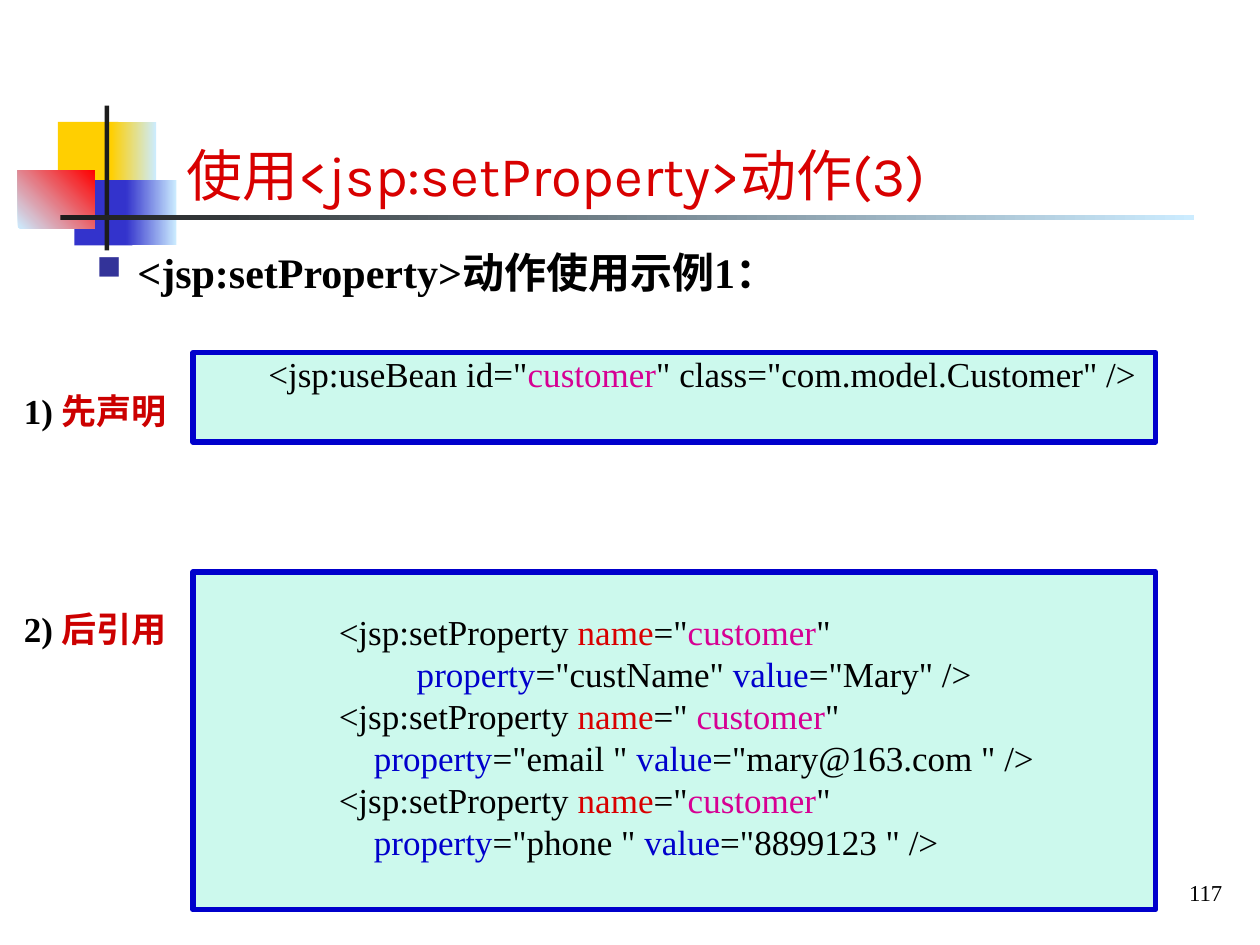
from dataclasses import dataclass

from lxml import etree
from pptx import Presentation
from pptx.dml.color import RGBColor
from pptx.enum.shapes import MSO_SHAPE
from pptx.enum.text import MSO_ANCHOR, MSO_AUTO_SIZE, PP_ALIGN
from pptx.oxml.ns import qn
from pptx.util import Cm, Pt

RECTANGLE = MSO_SHAPE.RECTANGLE
LEFT, RIGHT = PP_ALIGN.LEFT, PP_ALIGN.RIGHT
TOP, MIDDLE, BOTTOM = MSO_ANCHOR.TOP, MSO_ANCHOR.MIDDLE, MSO_ANCHOR.BOTTOM
NO_AUTOFIT = MSO_AUTO_SIZE.NONE


@dataclass(frozen=True)
class Theme:
    """Fonts, colours and type sizes of the slide."""

    title_font: str = "Karla"
    body_font: str = "Times New Roman"
    black: str = "000000"
    red: str = "D80000"
    label_red: str = "CC0000"
    pink: str = "D60093"
    blue: str = "0000CC"
    bullet: str = "333399"
    panel: str = "00E4A8"
    yellow: str = "FFCF01"
    indigo: str = "3333CC"
    scarlet: str = "FF0000"
    pale: str = "CCECFF"
    dark: str = "1C1C1C"
    title_size: int = 32
    heading_size: int = 24
    code_size: int = 20
    number_size: int = 13


THEME = Theme()


def write_text(shape, lines, size, font=THEME.body_font, bold=False, align=LEFT,
               anchor=TOP, wrap=True, margin=0, bullet=False):
    """Write lines, each a list of (text, colour) spans, into a shape."""
    frame = shape.text_frame
    frame.auto_size = NO_AUTOFIT
    frame.word_wrap = wrap
    frame.vertical_anchor = anchor
    for index, line in enumerate(lines):
        para = frame.add_paragraph() if index else frame.paragraphs[0]
        para.alignment = align
        if margin:
            indent_paragraph(para, margin, bullet)
        for text, colour in line:
            span = para.add_run()
            span.text = text
            span.font.name = font
            span.font.size = Pt(size)
            span.font.bold = bold
            span.font.color.rgb = RGBColor.from_string(colour)


def indent_paragraph(para, margin, bullet):
    """Indent a paragraph and hang a square bullet when asked."""
    properties = para._p.get_or_add_pPr()
    properties.set("marL", str(Cm(margin)))
    if bullet:
        properties.set("indent", str(-Cm(margin)))
        colour = etree.SubElement(properties, qn("a:buClr"))
        etree.SubElement(colour, qn("a:srgbClr"), val=THEME.bullet)
        etree.SubElement(properties, qn("a:buSzPct"), val="80000")
        etree.SubElement(properties, qn("a:buChar"), char="■")


def add_text(page, place, lines, size, **style):
    """Add a text box at a place given in centimetres."""
    box = page.shapes.add_textbox(*map(Cm, place))
    write_text(box, lines, size, **style)


def add_block(page, place, colour, fade_to=None, angle=0):
    """Add a borderless rectangle, plain or fading to a second colour."""
    block = page.shapes.add_shape(RECTANGLE, *map(Cm, place))
    block.shadow.inherit = False
    block.line.fill.background()
    if fade_to is None:
        block.fill.solid()
        block.fill.fore_color.rgb = RGBColor.from_string(colour)
        return
    block.fill.gradient()
    block.fill.gradient_angle = angle
    for stop, shade in zip(block.fill.gradient_stops, (colour, fade_to)):
        stop.color.rgb = RGBColor.from_string(shade)


def add_panel(page, top, height):
    """Add a see-through code panel with a thick outline."""
    panel = page.shapes.add_shape(RECTANGLE, Cm(3.89), Cm(top), Cm(19.41), Cm(height))
    panel.shadow.inherit = False
    panel.fill.solid()
    panel.fill.fore_color.rgb = RGBColor.from_string(THEME.panel)
    colour = panel.fill._xPr.find(qn("a:solidFill"))[0]
    etree.SubElement(colour, qn("a:alpha"), val="20000")
    panel.line.color.rgb = RGBColor.from_string(THEME.blue)
    panel.line.width = Pt(3)


def add_label(page, top, number, text):
    """Add a numbered step label left of a panel."""
    line = [(number, THEME.black), (text, THEME.label_red)]
    add_text(page, (0.23, top, 3.58, 1.09), [line], THEME.code_size, bold=True, wrap=False)


def add_ornament(page):
    """Add the coloured squares and the crossing bars beside the title."""
    add_block(page, (1.17, 2.46, 1.22, 1.32), THEME.yellow)
    add_block(page, (2.24, 2.46, 0.91, 1.32), THEME.yellow, THEME.pale)
    add_block(page, (1.5, 3.63, 1.17, 1.32), THEME.indigo)
    add_block(page, (2.54, 3.63, 1.02, 1.32), THEME.indigo, THEME.pale)
    add_block(page, (0.36, 3.43, 1.55, 1.17), THEME.pale, THEME.scarlet, angle=45)
    add_block(page, (2.11, 2.13, 0.09, 2.92), THEME.dark)
    add_block(page, (1.22, 4.34, 22.86, 0.09), THEME.dark, THEME.pale)


def set_title(page, text):
    """Place and format the title placeholder."""
    title = page.shapes.title
    title.left, title.top, title.width, title.height = map(Cm, (3.51, 1.32, 18.59, 3))
    write_text(title, [[(text, THEME.red)]], THEME.title_size,
               font=THEME.title_font, anchor=BOTTOM)


def property_lines(opening, indent, name, value):
    """Return the two coloured code lines of one setProperty action."""
    return [
        [("<jsp:setProperty ", THEME.black), ("name", THEME.red), (opening, THEME.black),
         ("customer", THEME.pink), ('"', THEME.black)],
        [(indent, THEME.black), ("property", THEME.blue), (f'="{name}" ', THEME.black),
         ("value", THEME.blue), (f'="{value}" />', THEME.black)],
    ]


def main():
    """Build the slide and save the deck."""
    deck = Presentation()
    deck.slide_width, deck.slide_height = Cm(25.4), Cm(19.05)
    page = deck.slides.add_slide(deck.slide_layouts[5])

    add_ornament(page)
    add_text(page, (20.04, 17.53, 4.85, 0.94), [[("117", THEME.black)]],
             THEME.number_size, align=RIGHT, anchor=MIDDLE, wrap=False)
    set_title(page, "使用<jsp:setProperty>动作(3)")
    add_text(page, (1.7, 4.85, 22.81, 1.27),
             [[("<jsp:setProperty>动作使用示例1：", THEME.black)]],
             THEME.heading_size, bold=True, margin=0.82, bullet=True)

    add_panel(page, 7.11, 1.8)
    declaration = [('<jsp:useBean id="', THEME.black), ("customer", THEME.pink),
                   ('" class="com.model.Customer" />', THEME.black)]
    add_text(page, (3.89, 6.99, 19.81, 1.09), [declaration], THEME.code_size, margin=1.27)
    add_label(page, 7.72, "1) ", "先声明")

    add_panel(page, 11.53, 6.81)
    actions = (
        ('="', "　　 ", "custName", "Mary"),
        ('=" ', "    ", "email ", "mary@163.com "),
        ('="', "    ", "phone ", "8899123 "),
    )
    lines = [line for action in actions for line in property_lines(*action)]
    add_text(page, (5.31, 12.19, 16.1, 5.33), lines, THEME.code_size, margin=1.27)
    add_label(page, 12.12, "2) ", "后引用")

    deck.save("out.pptx")


if __name__ == "__main__":
    main()
